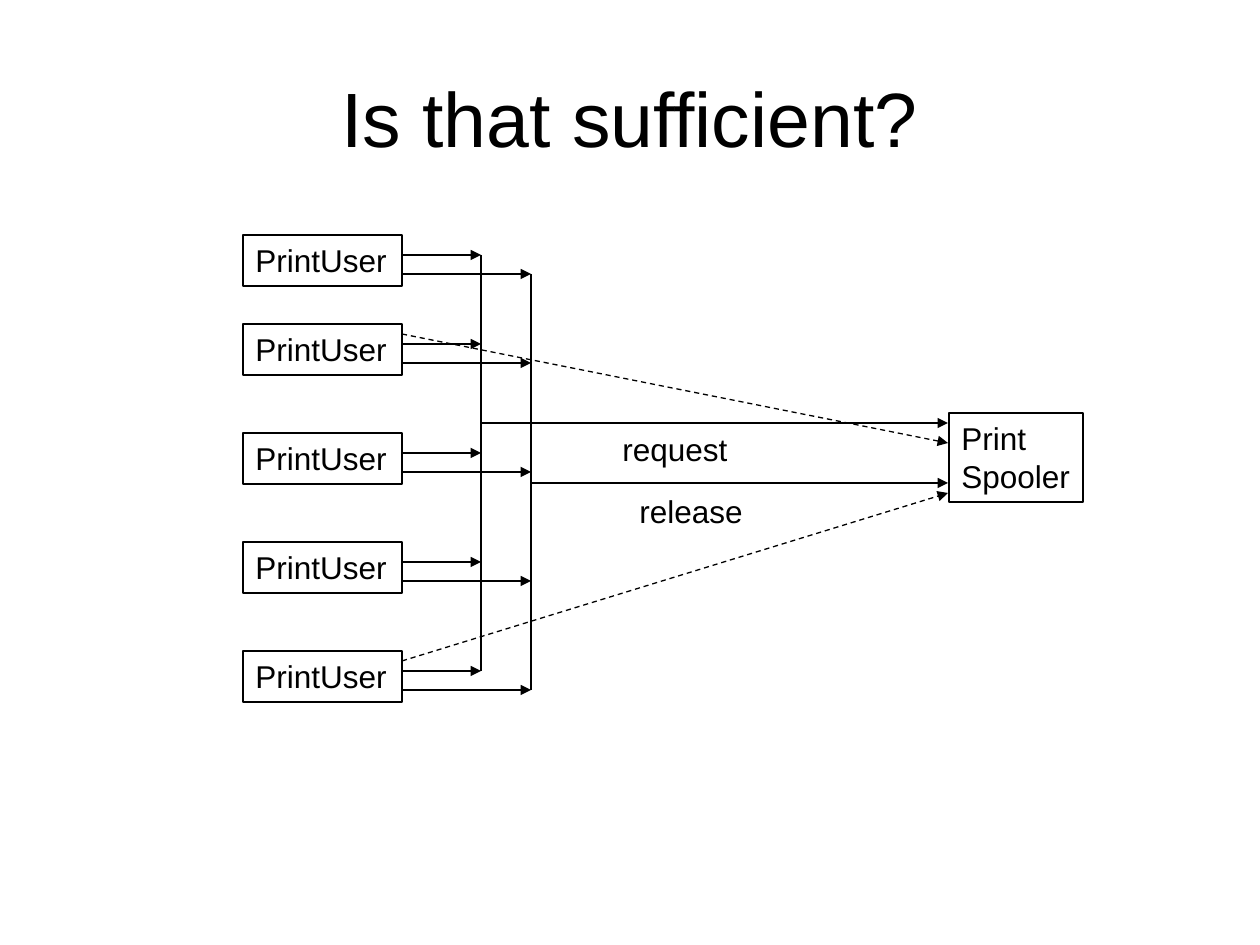
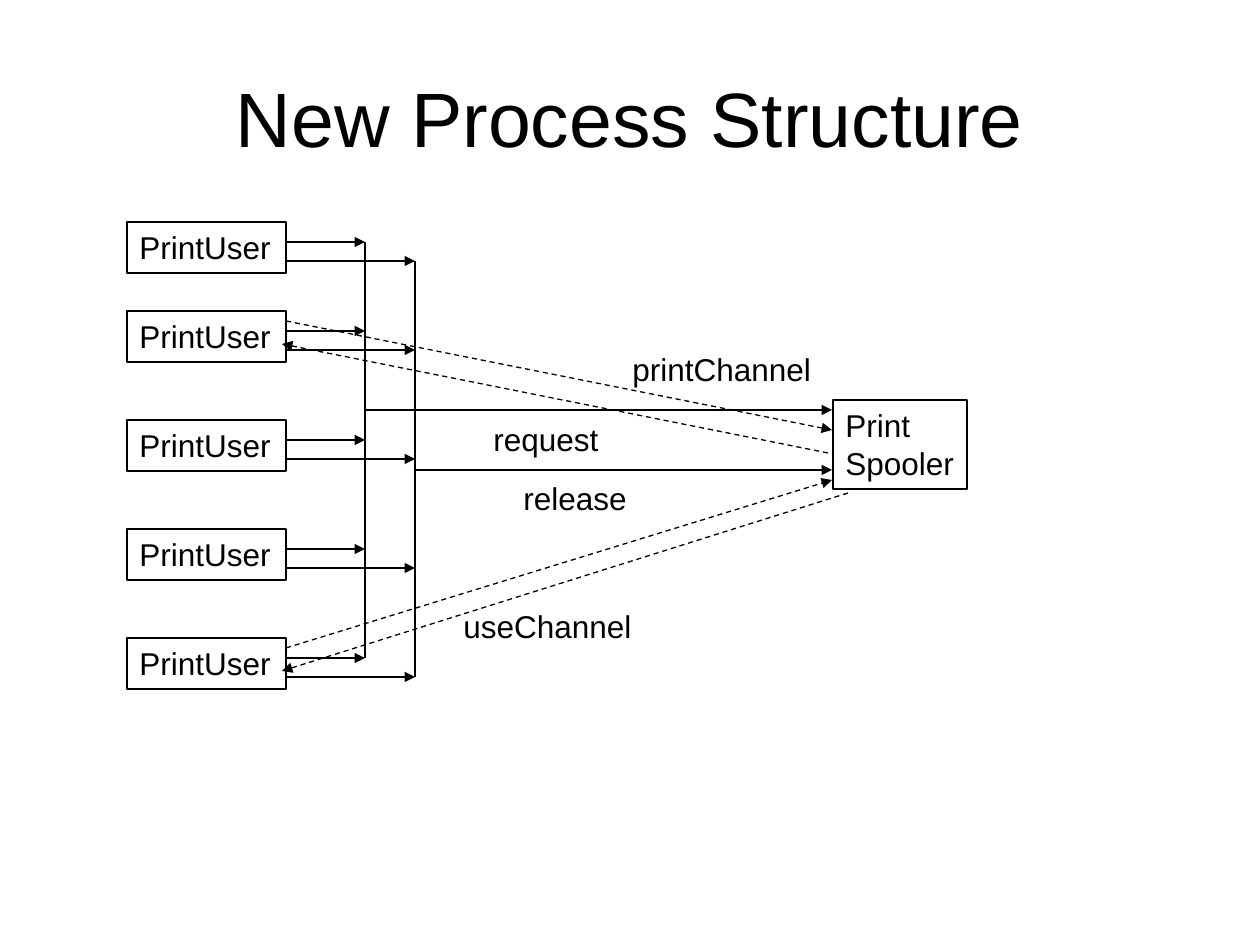
import pptx
import pptx.util
import pptx.dml.color
import pptx.enum.dml
import pptx.enum.shapes
import pptx.enum.text
import pptx.oxml
import pptx.oxml.ns

SCALE = 914400 / 126
FONT = "Arial"
INK = "000000"
ROWS = (0, 89, 198, 307, 416)
BOX_W, BOX_H = 159, 51
REQ_X, REL_X = 238, 288      # the two collecting lines
REQ_Y, REL_Y = 20, 39        # where each user's arrows leave its box
SPOOL = (706, 178, 134, 89)
SPOOL_IN = SPOOL[0] - 1      # arrows stop just short of the spooler


def emu(px):
    return pptx.util.Emu(round(px * SCALE))


def color(code):
    return pptx.dml.color.RGBColor.from_string(code)


def add_xml(parent, tag, **attrs):
    node = pptx.oxml.ns.qn(tag)
    child = parent.makeelement(node, attrs)
    parent.append(child)


def write(shape, text, size=18, align="LEFT", anchor="TOP", wrap=True):
    frame = shape.text_frame
    frame.word_wrap = wrap
    frame.vertical_anchor = getattr(pptx.enum.text.MSO_ANCHOR, anchor)
    para = frame.paragraphs[0]
    para.text = text
    para.alignment = getattr(pptx.enum.text.PP_ALIGN, align)
    for run in para.runs:
        run.font.name = FONT
        run.font.size = pptx.util.Pt(size)
        run.font.color.rgb = color(INK)


def label(shapes, left, top, width, height, text, **style):
    box = shapes.add_textbox(*map(emu, (left, top, width, height)))
    write(box, text, **style)


def frame(shapes, left, top, width, height, text, **style):
    """Add an outlined, unfilled box with text."""
    box = shapes.add_shape(pptx.enum.shapes.MSO_SHAPE.RECTANGLE,
                           *map(emu, (left, top, width, height)))
    box.shadow.inherit = False
    box.fill.background()
    box.line.color.rgb = color(INK)
    box.line.width = pptx.util.Pt(0.75)
    write(box, text, **style)


def link(shapes, start, end, arrow=True, dash=False):
    line = shapes.add_connector(pptx.enum.shapes.MSO_CONNECTOR.STRAIGHT,
                                *map(emu, (*start, *end)))
    line.line.color.rgb = color(INK)
    line.line.width = pptx.util.Pt(0.75)
    if dash:
        line.line.dash_style = pptx.enum.dml.MSO_LINE.DASH
    props = line._element.spPr
    if arrow:
        add_xml(props.find(pptx.oxml.ns.qn("a:ln")), "a:tailEnd",
                type="triangle")
    add_xml(props, "a:effectLst")


def user(shapes, left, top):
    """Add one user box with its request and release arrows."""
    group = shapes.add_group_shape().shapes
    frame(group, left, top, BOX_W, BOX_H, "PrintUser")
    for bus, drop in ((REQ_X, REQ_Y), (REL_X, REL_Y)):
        link(group, (left + BOX_W, top + drop), (left + bus, top + drop))


def diagram(shapes, left, top, labels, extra=()):
    """Add users, spooler and channels; all places are relative to left, top."""
    def at(x, y):
        return left + x, top + y

    x, y, width, height = SPOOL
    frame(shapes, *at(x, y), width, height, "Print\nSpooler", wrap=False)
    for row in ROWS:
        user(shapes, *at(0, row))
    for bus, drop, entry in ((REQ_X, REQ_Y, 188), (REL_X, REL_Y, 248)):
        link(shapes, at(bus, drop), at(bus, ROWS[-1] + drop), arrow=False)
        link(shapes, at(bus, entry), at(SPOOL_IN, entry))
    sends = [((BOX_W, ROWS[4] + 10), (SPOOL_IN, 258)),
             ((BOX_W, ROWS[1] + 10), (SPOOL_IN, 208))]
    for start, end in (*sends, *extra):
        link(shapes, at(*start), at(*end), dash=True)
    for text, x, y, width in labels:
        label(shapes, *at(x, y), width, 50, text, wrap=False)


def page(deck, title, left, top, labels, extra=()):
    shapes = deck.slides.add_slide(deck.slide_layouts[6]).shapes
    label(shapes, 63, 38, 1134, 158, title, size=44, align="CENTER",
          anchor="MIDDLE")
    diagram(shapes, left, top, labels, extra)


def main():
    deck = pptx.Presentation()
    deck.slide_width, deck.slide_height = emu(1260), emu(945)
    release = ("release", 384, 251, 129)
    page(deck, "Is that sufficient?", 243, 235,
         [("request", 367, 189, 130), release])
    page(deck, "New Process Structure", 127, 222,
         [("request", 354, 192, 130), release,
          ("useChannel", 324, 379, 193), ("printChannel", 493, 122, 204)],
         extra=[((721, 271), (155, 449)), ((701, 231), (155, 122))])
    deck.save("out.pptx")


if __name__ == "__main__":
    main()
